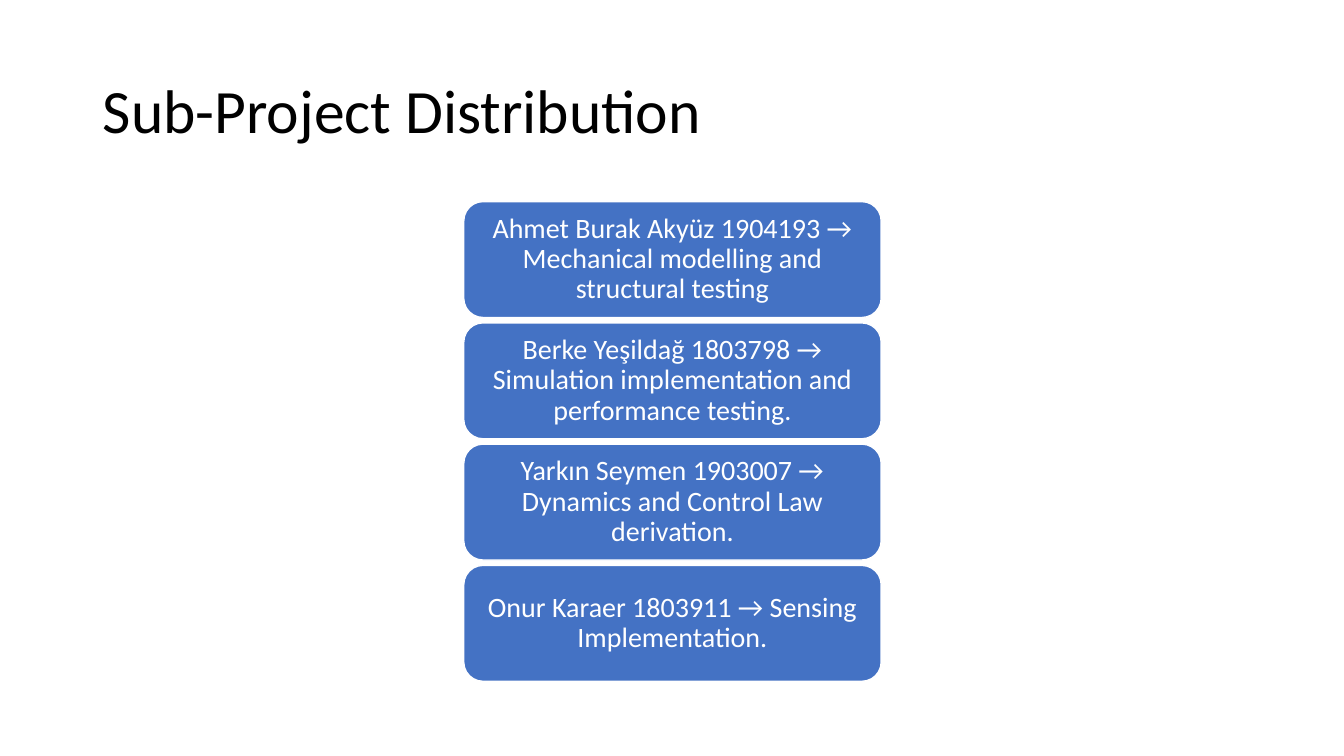
"""Build the sub-project distribution slide."""
import pptx
import pptx.dml.color
import pptx.enum.shapes
import pptx.enum.text
import pptx.util

Inches = pptx.util.Inches
COLORS = {"title": "000000", "card": "4472C4", "white": "FFFFFF"}
ASSIGNMENTS = [
    "Ahmet Burak Akyüz 1904193 → Mechanical modelling and structural testing",
    "Berke Yeşildağ 1803798 → Simulation implementation and performance testing.",
    "Yarkın Seymen 1903007 → Dynamics and Control Law derivation.",
    "Onur Karaer 1803911 → Sensing Implementation.",
]
CARD_LEFT, CARD_TOP, CARD_WIDTH, CARD_HEIGHT = 4.6, 2, 4.14, 1.15
CARD_PITCH = 1.203


def color(name):
    return pptx.dml.color.RGBColor.from_string(COLORS[name])


def write_text(shape, text, size, color_name, alignment):
    frame = shape.text_frame
    frame.text = text
    frame.word_wrap = True
    frame.vertical_anchor = pptx.enum.text.MSO_ANCHOR.MIDDLE
    paragraph = frame.paragraphs[0]
    paragraph.alignment = alignment
    paragraph.line_spacing = 0.9
    font = paragraph.runs[0].font
    font.name = "Calibri"
    font.size = pptx.util.Pt(size)
    font.color.rgb = color(color_name)


presentation = pptx.Presentation()
presentation.slide_width = Inches(13.33)
presentation.slide_height = Inches(7.5)
slide = presentation.slides.add_slide(presentation.slide_layouts[5])

title = slide.shapes.title
title.left, title.top = Inches(0.92), Inches(0.4)
title.width, title.height = Inches(11.5), Inches(1.45)
write_text(title, "Sub-Project Distribution", 44, "title", pptx.enum.text.PP_ALIGN.LEFT)

for index, assignment in enumerate(ASSIGNMENTS):
    card = slide.shapes.add_shape(
        pptx.enum.shapes.MSO_SHAPE.ROUNDED_RECTANGLE,
        Inches(CARD_LEFT), Inches(CARD_TOP + index * CARD_PITCH),
        Inches(CARD_WIDTH), Inches(CARD_HEIGHT),
    )
    card.shadow.inherit = False
    card.fill.solid()
    card.fill.fore_color.rgb = color("card")
    card.line.color.rgb = color("white")
    card.line.width = pptx.util.Pt(1)
    write_text(card, assignment, 20, "white", pptx.enum.text.PP_ALIGN.CENTER)
    frame = card.text_frame
    frame.margin_left = frame.margin_right = Inches(0.08)
    frame.margin_top = frame.margin_bottom = Inches(0.04)

presentation.save("out.pptx")
